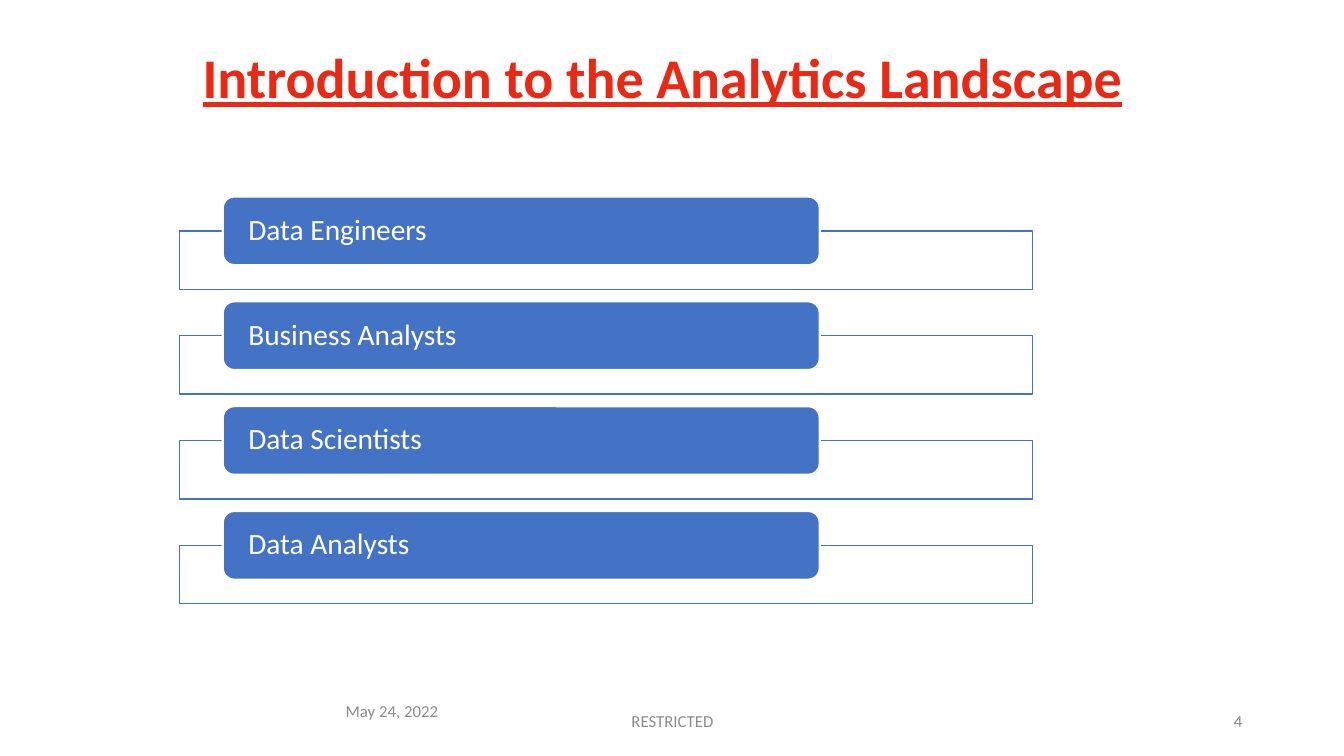
from dataclasses import dataclass

from lxml import etree
from pptx import Presentation, util as u
from pptx.dml.color import RGBColor
from pptx.enum import shapes, text
from pptx.oxml.ns import qn

PX = u.Inches(1) // 100


@dataclass(frozen=True)
class Theme:
    font: str = "Calibri"
    heading: str = "EB2814"
    accent: str = "4472C4"
    white: str = "FFFFFF"
    muted: str = "8C8C8C"
    heading_pt: int = 40
    role_pt: int = 21
    footer_pt: int = 12


@dataclass(frozen=True)
class Box:
    left: int
    top: int
    width: int
    height: int

    def emu(self) -> list[int]:
        return [n * PX for n in (self.left, self.top, self.width, self.height)]

    def down(self, offset: int) -> "Box":
        return Box(self.left, self.top + offset, self.width, self.height)


@dataclass(frozen=True)
class FooterItem:
    wording: str
    box: Box
    align: text.PP_ALIGN


THEME = Theme()
HEADING = "Introduction to the Analytics Landscape"
HEADING_BOX = Box(86, 50, 1142, 47)
ROLES = ["Data Engineers", "Business Analysts", "Data Scientists", "Data Analysts"]
ROLE_PITCH = 104
FRAME_BOX = Box(178, 229, 846, 58)
LABEL_BOX = Box(221, 195, 592, 68)
FOOTER = [
    FooterItem("May 24, 2022", Box(333, 693, 276, 24), text.PP_ALIGN.LEFT),
    FooterItem("RESTRICTED", Box(442, 695, 450, 40), text.PP_ALIGN.CENTER),
    FooterItem("4", Box(942, 695, 300, 40), text.PP_ALIGN.RIGHT),
]


def rgb(colour: str) -> RGBColor:
    return RGBColor.from_string(colour)


def write(shape, wording: str, size: int, colour: str, align: text.PP_ALIGN,
          anchor=text.MSO_ANCHOR.MIDDLE, side_inset: int = 10, end_inset: int = 5):
    """Put one run in the shape and return its paragraph and run."""
    frame = shape.text_frame
    frame.word_wrap = True
    frame.vertical_anchor = anchor
    frame.margin_left = frame.margin_right = side_inset * PX
    frame.margin_top = frame.margin_bottom = end_inset * PX
    paragraph = frame.paragraphs[0]
    paragraph.alignment = align
    run = paragraph.add_run()
    run.text = wording
    run.font.name = THEME.font
    run.font.size = u.Pt(size)
    run.font.color.rgb = rgb(colour)
    return paragraph, run


def add_block(slide, kind: shapes.MSO_SHAPE, box: Box, fill: str, line: str,
              line_pt: float):
    block = slide.shapes.add_shape(kind, *box.emu())
    block.shadow.inherit = False
    block.fill.solid()
    block.fill.fore_color.rgb = rgb(fill)
    block.line.color.rgb = rgb(line)
    block.line.width = u.Pt(line_pt)
    return block


def set_opacity(block, percent: int) -> None:
    colour = block.fill._xPr.find(qn("a:solidFill"))[0]
    etree.SubElement(colour, qn("a:alpha")).set("val", str(percent * 1000))


def add_heading(slide) -> None:
    heading = slide.shapes.add_textbox(*HEADING_BOX.emu())
    paragraph, run = write(heading, HEADING, THEME.heading_pt, THEME.heading,
                           text.PP_ALIGN.CENTER, text.MSO_ANCHOR.TOP, 0, 0)
    paragraph.line_spacing = 0.9
    paragraph.space_before = u.Pt(10)
    run.font.bold = run.font.underline = True


def add_role(slide, role: str, offset: int) -> None:
    frame = add_block(slide, shapes.MSO_SHAPE.RECTANGLE, FRAME_BOX.down(offset),
                      THEME.white, THEME.accent, 1)
    set_opacity(frame, 90)
    label = add_block(slide, shapes.MSO_SHAPE.ROUNDED_RECTANGLE,
                      LABEL_BOX.down(offset), THEME.accent, THEME.white, 1.5)
    paragraph, _ = write(label, role, THEME.role_pt, THEME.white,
                         text.PP_ALIGN.LEFT, side_inset=22, end_inset=0)
    paragraph.line_spacing = 0.9


def add_footer_item(slide, item: FooterItem) -> None:
    footer = slide.shapes.add_textbox(*item.box.emu())
    write(footer, item.wording, THEME.footer_pt, THEME.muted, item.align)


def main() -> None:
    deck = Presentation()
    deck.slide_width, deck.slide_height = 1333 * PX, 750 * PX
    slide = deck.slides.add_slide(deck.slide_layouts[6])
    add_heading(slide)
    for item in FOOTER:
        add_footer_item(slide, item)
    for row, role in enumerate(ROLES):
        add_role(slide, role, row * ROLE_PITCH)
    deck.save("out.pptx")


if __name__ == "__main__":
    main()
